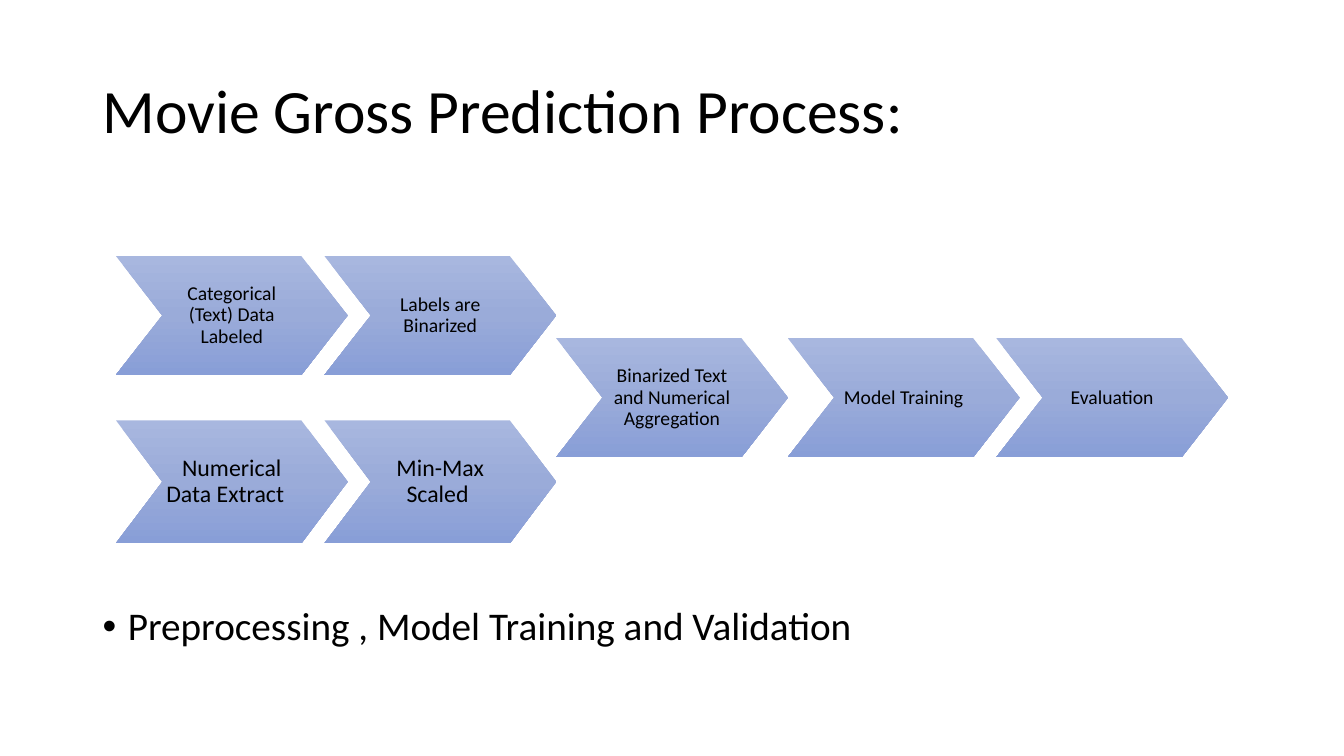
from lxml import etree
from pptx import Presentation, util as u
from pptx.dml.color import RGBColor
from pptx.enum import shapes, text
from pptx.oxml.ns import qn

FONT = "Calibri"
BLACK = "000000"
GRADIENT = [(0, "A8B7DF"), (50, "9AABD9"), (100, "889ED7")]
STEP = 0.9        # distance between nested chevrons, in chevron widths
NOTCH = 0.2       # depth of the chevron point, in chevron widths
ROW_PITCH = 0.815

# label, column (chevron widths), row, height, font size
STEPS = [
    ("Numerical Data Extract\t", 0, 2, 1.22, 17),
    ("Min-Max Scaled ", STEP, 2, 1.22, 17),
    ("Categorical (Text) Data Labeled", 0, 0, 1.18, 14),
    ("Labels are Binarized", STEP, 0, 1.18, 14),
    ("Binarized Text and Numerical Aggregation", STEP + 1, 1, 1.18, 14),
    ("Model Training", STEP + 2, 1, 1.18, 14),
    ("Evaluation", 2 * STEP + 2, 1, 1.18, 14),
]


def color(hex_string):
    """Turn a hex string into a colour."""
    return RGBColor.from_string(hex_string)


def write(shape, words, size, margins, alignment):
    """Put one styled paragraph, centred vertically, into a shape."""
    frame = shape.text_frame
    frame.word_wrap = True
    frame.vertical_anchor = text.MSO_ANCHOR.MIDDLE
    frame.margin_left = frame.margin_right = u.Inches(margins[0])
    frame.margin_top = frame.margin_bottom = u.Inches(margins[1])
    paragraph = frame.paragraphs[0]
    paragraph.text = words
    paragraph.alignment = alignment
    paragraph.line_spacing = 0.9
    for run in paragraph.runs:
        run.font.name = FONT
        run.font.size = u.Pt(size)
        run.font.color.rgb = color(BLACK)
    return paragraph


def fill_gradient(shape, stops):
    """Fill a shape with a top-to-bottom gradient."""
    gradient = etree.Element(qn("a:gradFill"), rotWithShape="1")
    stop_list = etree.SubElement(gradient, qn("a:gsLst"))
    for position, hex_string in stops:
        stop = etree.SubElement(stop_list, qn("a:gs"), pos=str(position * 1000))
        etree.SubElement(stop, qn("a:srgbClr"), val=hex_string)
    etree.SubElement(gradient, qn("a:lin"), ang="5400000", scaled="0")
    shape._element.spPr.find(qn("a:prstGeom")).addnext(gradient)


def add_line_of_text(slide, box, words, size):
    """Add a left-aligned text box and return its paragraph."""
    shape = slide.shapes.add_textbox(*map(u.Inches, box))
    return write(shape, words, size, (0.1, 0.05), text.PP_ALIGN.LEFT)


def add_bullet(slide, box, words, size):
    """Add a single bulleted line."""
    paragraph = add_line_of_text(slide, box, words, size)
    properties = paragraph._p.get_or_add_pPr()
    properties.set("marL", str(u.Inches(0.25)))
    properties.set("indent", str(-u.Inches(0.25)))
    etree.SubElement(properties, qn("a:buFont"), typeface="Arial")
    etree.SubElement(properties, qn("a:buChar"), char="•")


def add_process(slide, left, top, width):
    """Add two branches of chevrons that merge into one chain."""
    chevron_width = width / (2 * STEP + 3)
    for label, column, row, height, size in STEPS:
        shape = slide.shapes.add_shape(
            shapes.MSO_SHAPE.CHEVRON,
            u.Inches(left + column * chevron_width),
            u.Inches(top + row * ROW_PITCH),
            u.Inches(chevron_width), u.Inches(height))
        shape.adjustments[0] = NOTCH * chevron_width / height
        shape.shadow.inherit = False
        shape.line.fill.background()
        fill_gradient(shape, GRADIENT)
        write(shape, label, size, (0.04, 0.02), text.PP_ALIGN.CENTER)


def build_slide(presentation):
    """Add the process slide."""
    slide = presentation.slides.add_slide(presentation.slide_layouts[6])
    add_line_of_text(slide, (0.92, 0.4, 11.5, 1.45),
                     "Movie Gross Prediction Process:", 44)
    add_bullet(slide, (0.92, 5.93, 11.5, 0.6),
               "Preprocessing , Model Training and Validation", 28)
    add_process(slide, 1.15, 2.54, 11.03)


presentation = Presentation()
presentation.slide_width = u.Inches(13.33)
presentation.slide_height = u.Inches(7.5)
build_slide(presentation)
presentation.save("out.pptx")
